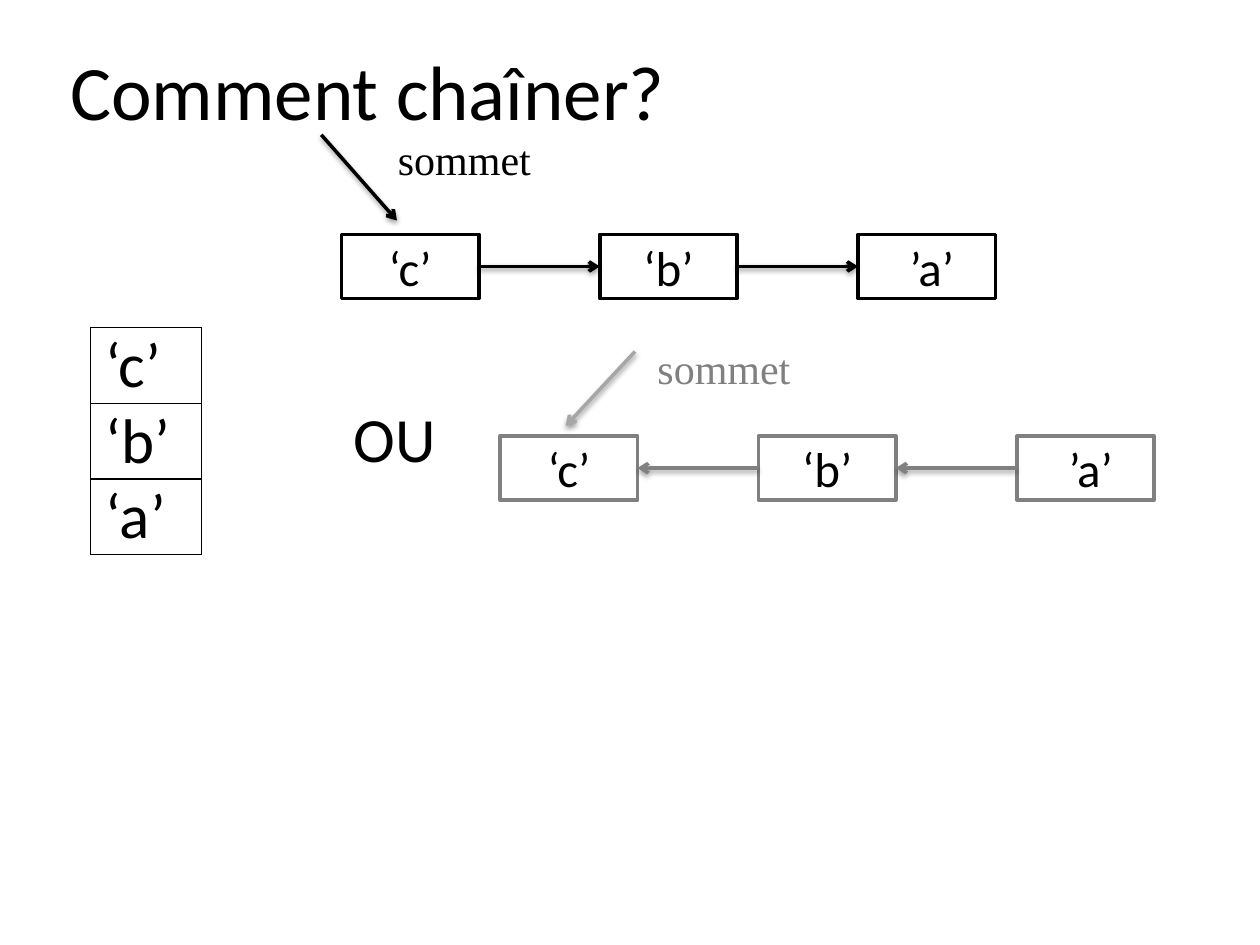
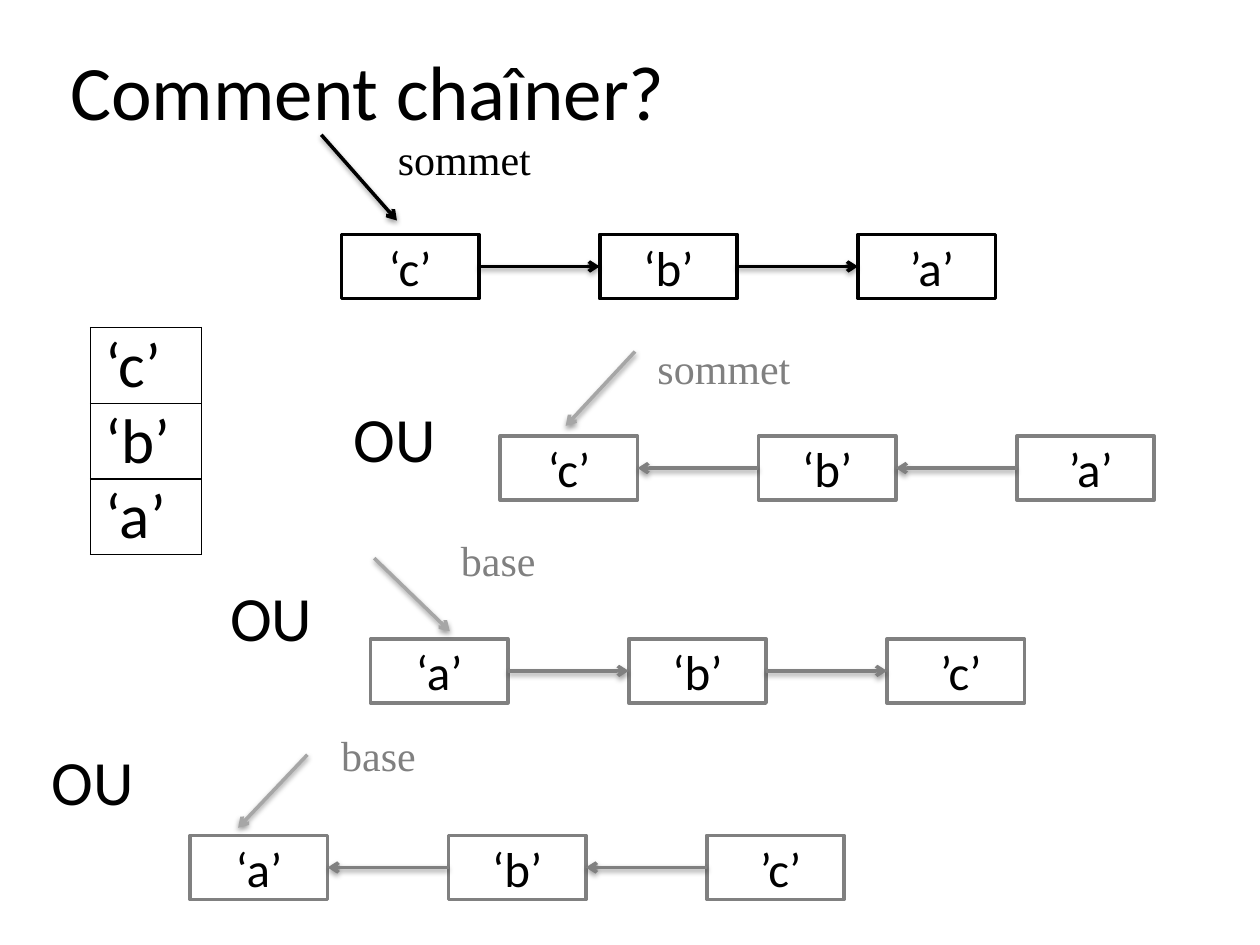
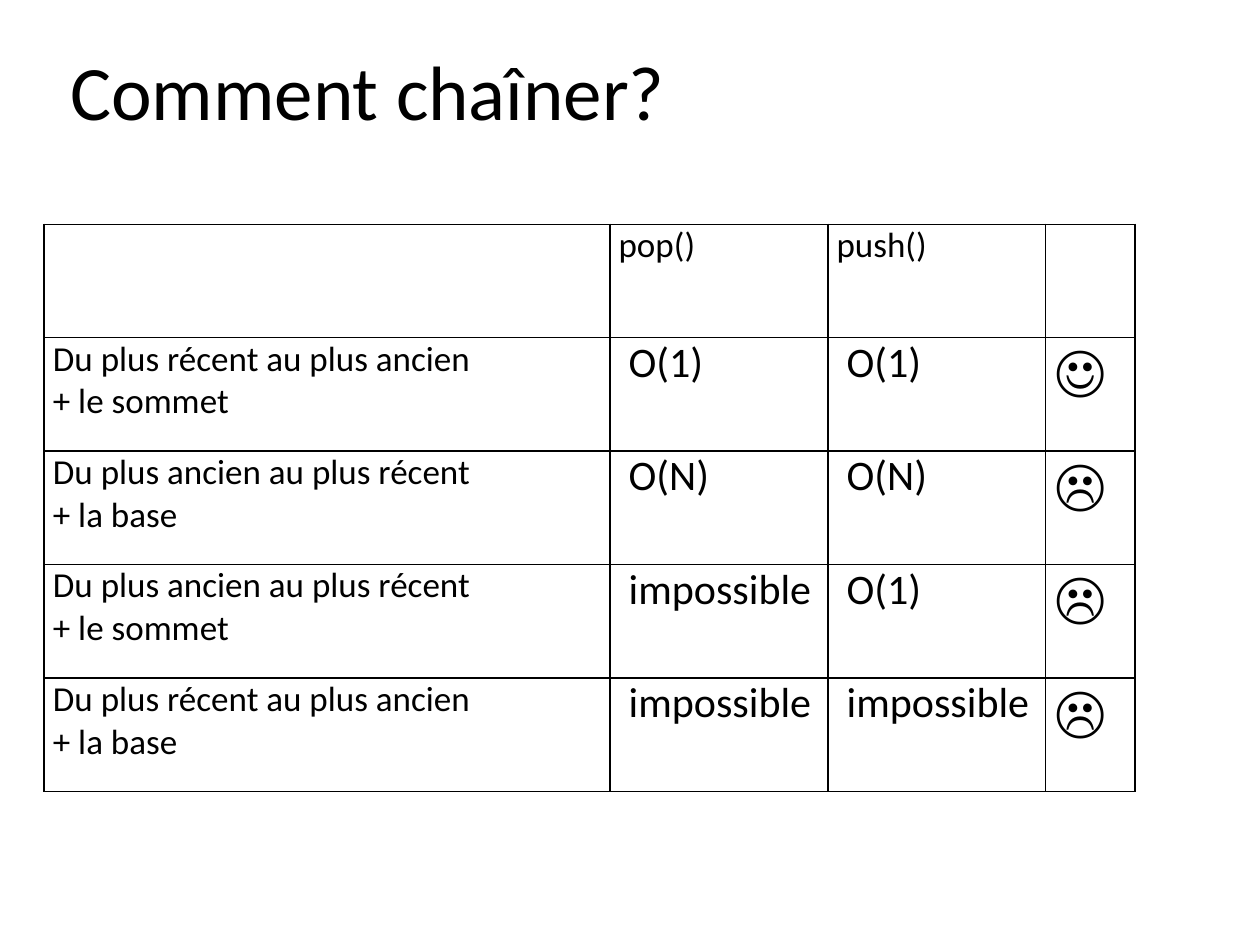
import dataclasses

import lxml.etree
import pptx
import pptx.dml.color
import pptx.enum.shapes
import pptx.enum.text
import pptx.oxml
import pptx.oxml.ns
import pptx.util

Inches = pptx.util.Inches
Pt = pptx.util.Pt
RGBColor = pptx.dml.color.RGBColor
MIDDLE = pptx.enum.text.MSO_ANCHOR.MIDDLE

BLACK = RGBColor(0x00, 0x00, 0x00)
WHITE = RGBColor(0xFF, 0xFF, 0xFF)
GREY = RGBColor(0x80, 0x80, 0x80)
LIGHT_GREY = RGBColor(0xA6, 0xA6, 0xA6)

BODY_FONT = "Calibri"
LABEL_FONT = "Times New Roman"

NODE_WIDTH, NODE_HEIGHT, NODE_PITCH = 1.09, 0.51, 2.05

ARROW_SHADOW = (
    f'<a:effectLst {pptx.oxml.ns.nsdecls("a")}>'
    '<a:outerShdw blurRad="39370" dist="20320" dir="5400000" rotWithShape="0">'
    '<a:srgbClr val="000000"><a:alpha val="38000"/></a:srgbClr>'
    '</a:outerShdw></a:effectLst>'
)


@dataclasses.dataclass
class Chain:
    """Linked nodes, the pointer that enters them and its label."""
    left: float
    top: float
    values: tuple
    pointer_start: tuple
    pointer_end: tuple
    label: str
    label_at: tuple
    forward: bool = True
    color: RGBColor = GREY
    pointer_color: RGBColor = LIGHT_GREY
    or_at: tuple = ()


CHAINS = [
    Chain(2.71, 1.86, ("‘c’", "‘b’", "’a’"), (2.55, 1.07), (3.15, 1.75),
          "sommet", (3.06, 1.01), color=BLACK, pointer_color=BLACK),
    Chain(3.97, 3.46, ("‘c’", "‘b’", "’a’"), (5.04, 2.79), (4.49, 3.38),
          "sommet", (5.12, 2.67), forward=False, or_at=(2.71, 3.12)),
    Chain(2.94, 5.07, ("‘a’", "‘b’", "’c’"), (2.97, 4.43), (3.57, 5.01),
          "base", (3.56, 4.19), or_at=(1.73, 4.54)),
    Chain(1.51, 6.63, ("‘a’", "‘b’", "’c’"), (2.44, 5.99), (1.89, 6.57),
          "base", (2.61, 5.74), forward=False, or_at=(0.31, 5.84)),
]

COSTS = [
    ("", "pop()", "push()", ""),
    ("Du plus récent au plus ancien\n+ le sommet", "O(1)", "O(1)", "☺"),
    ("Du plus ancien au plus récent\n+ la base", "O(N)", "O(N)", "☹"),
    ("Du plus ancien au plus récent\n+ le sommet", "impossible", "O(1)", "☹"),
    ("Du plus récent au plus ancien\n+ la base", "impossible", "impossible", "☹"),
]


class Deck:
    """The shared style and the slide being filled."""

    def __init__(self):
        self.presentation = pptx.Presentation()
        self.presentation.slide_width = Inches(10)
        self.presentation.slide_height = Inches(7.5)
        self.slide = None

    def new_slide(self, title):
        self.slide = self.presentation.slides.add_slide(
            self.presentation.slide_layouts[6])
        self.text(title, 0.46, 0.09, 9, 1.25, 44, anchor=MIDDLE)

    def set_text(self, frame, words, size, font=BODY_FONT, color=BLACK, align=None):
        frame.text = words
        for paragraph in frame.paragraphs:
            paragraph.alignment = align
            for run in paragraph.runs:
                run.font.size = Pt(size)
                run.font.name = font
                run.font.color.rgb = color

    def text(self, words, left, top, width, height, size, font=BODY_FONT,
             color=BLACK, anchor=None, wrap=True):
        frame = self.slide.shapes.add_textbox(
            Inches(left), Inches(top), Inches(width), Inches(height)).text_frame
        frame.word_wrap = wrap
        frame.vertical_anchor = anchor
        self.set_text(frame, words, size, font, color)

    def node(self, value, left, top, color):
        node = self.slide.shapes.add_shape(
            pptx.enum.shapes.MSO_SHAPE.RECTANGLE, Inches(left), Inches(top),
            Inches(NODE_WIDTH), Inches(NODE_HEIGHT))
        node.shadow.inherit = False
        node.fill.solid()
        node.fill.fore_color.rgb = WHITE
        node.line.color.rgb = color
        node.line.width = Pt(2)
        node.text_frame.vertical_anchor = MIDDLE
        self.set_text(node.text_frame, value, 28,
                      align=pptx.enum.text.PP_ALIGN.CENTER)
        return node

    def arrow(self, color, start=(0, 0), end=(0, 0)):
        arrow = self.slide.shapes.add_connector(
            pptx.enum.shapes.MSO_CONNECTOR.STRAIGHT,
            *(Inches(value) for value in start + end))
        arrow.line.color.rgb = color
        arrow.line.width = Pt(2)
        properties = arrow._element.spPr
        lxml.etree.SubElement(properties.find(pptx.oxml.ns.qn("a:ln")),
                              pptx.oxml.ns.qn("a:tailEnd"), type="arrow")
        properties.append(pptx.oxml.parse_xml(ARROW_SHADOW))
        return arrow

    def link(self, left_node, right_node, forward, color):
        arrow = self.arrow(color)
        if forward:
            arrow.begin_connect(left_node, 3)
            arrow.end_connect(right_node, 1)
        else:
            arrow.begin_connect(right_node, 1)
            arrow.end_connect(left_node, 3)

    def chain(self, chain):
        nodes = [self.node(value, chain.left + i * NODE_PITCH, chain.top, chain.color)
                 for i, value in enumerate(chain.values)]
        nodes[-1].text_frame.margin_left = Inches(0.18)
        for left_node, right_node in zip(nodes, nodes[1:]):
            self.link(left_node, right_node, chain.forward, chain.color)
        self.arrow(chain.pointer_color, chain.pointer_start, chain.pointer_end)
        self.text(chain.label, *chain.label_at, 1.7, 0.42, 24, LABEL_FONT, chain.color)
        if chain.or_at:
            self.text("OU", *chain.or_at, 0.86, 0.71, 36, wrap=False)

    def table(self, rows, left, top, widths, row_height, cell_style):
        """Draw a bordered table; cell_style(row, column) gives size and left margin."""
        table = self.slide.shapes.add_table(
            len(rows), len(widths), Inches(left), Inches(top),
            Inches(sum(widths)), Inches(row_height * len(rows))).table
        table.first_row = table.horz_banding = False
        for column, width in zip(table.columns, widths):
            column.width = Inches(width)
        for r, values in enumerate(rows):
            table.rows[r].height = Inches(row_height)
            for c, value in enumerate(values):
                cell = table.cell(r, c)
                size, margin = cell_style(r, c)
                cell.margin_left = Inches(margin)
                cell.margin_right = Inches(0.07)
                cell.margin_top = cell.margin_bottom = 0
                self.set_text(cell.text_frame, value, size)
                self.borders(cell)
                cell.fill.solid()
                cell.fill.fore_color.rgb = WHITE

    def borders(self, cell):
        properties = cell._tc.get_or_add_tcPr()
        for side in ("lnL", "lnR", "lnT", "lnB"):
            properties.append(pptx.oxml.parse_xml(
                f'<a:{side} {pptx.oxml.ns.nsdecls("a")} w="12700"><a:solidFill>'
                f'<a:srgbClr val="{BLACK}"/></a:solidFill></a:{side}>'))


def cost_style(row, column):
    if row == 0 or column == 0:
        return 20, 0.07
    return (32, 0.07) if column == 3 else (24, 0.15)


def main():
    deck = Deck()
    title = "Comment chaîner?"
    for chains in (CHAINS[:2], CHAINS):
        deck.new_slide(title)
        deck.table([("‘c’",), ("‘b’",), ("‘a’",)], 0.72, 2.6, [0.88], 0.6,
                   lambda row, column: (36, 0.12))
        for chain in chains:
            deck.chain(chain)

    deck.new_slide(title)
    deck.table(COSTS, 0.35, 1.78, [4.49, 1.73, 1.73, 0.71], 0.9, cost_style)
    deck.presentation.save("out.pptx")


if __name__ == "__main__":
    main()
